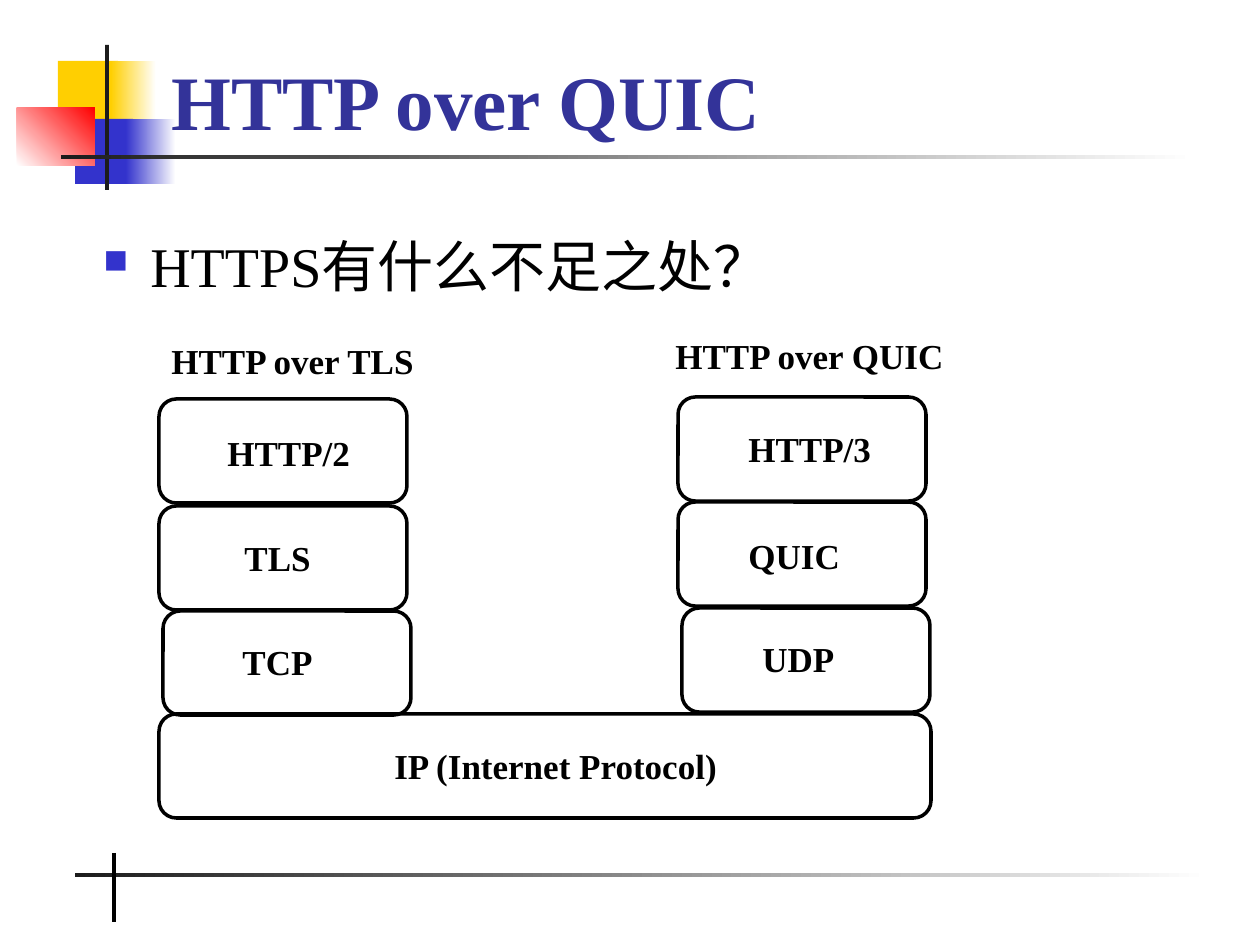
"""Build the HTTP over QUIC slide comparing two protocol stacks."""
from lxml import etree
from pptx import Presentation
from pptx import util as u
from pptx.dml.color import RGBColor
from pptx.enum import shapes, text
from pptx.oxml import ns

PX = 914400 / 126
FONT = "Times New Roman"
BLACK, BLUE, DARK, WHITE = "000000", "3333CC", "1C1C1C", "FFFFFF"


def rgb(value):
    return RGBColor.from_string(value)


def add_text(s, box, words, size, color=BLACK, bold=True, wrap=False):
    sp = s.shapes.add_textbox(*[u.Emu(round(v * PX)) for v in box])
    tf = sp.text_frame
    tf.word_wrap = wrap
    tf.auto_size = text.MSO_AUTO_SIZE.NONE if wrap else text.MSO_AUTO_SIZE.SHAPE_TO_FIT_TEXT
    r = tf.paragraphs[0].add_run()
    r.text = words
    r.font.name, r.font.size, r.font.bold = FONT, u.Pt(size), bold
    r.font.color.rgb = rgb(color)
    return tf


prs = Presentation()
prs.slide_width, prs.slide_height = u.Inches(10), u.Inches(7.5)
s = prs.slides.add_slide(prs.slide_layouts[6])

decorations = [
    ((58, 61, 60, 65), ["FFCF01"], 0),
    ((111, 61, 45, 65), ["FFCF01", WHITE], 0),
    ((75, 119, 58, 65), [BLUE], 0),
    ((126, 119, 50, 65), [BLUE, WHITE], 0),
    ((17, 108, 78, 58), [WHITE, "FF0000"], 45),
    ((105, 45, 4, 145), [DARK], 0),
    ((61, 155, 1134, 4), [DARK, WHITE], 0),
    ((75, 873, 1134, 4), [DARK, WHITE], 0),
]
for box, colors, angle in decorations:
    sp = s.shapes.add_shape(shapes.MSO_SHAPE.RECTANGLE, *[u.Emu(round(v * PX)) for v in box])
    sp.shadow.inherit = False
    sp.line.fill.background()
    if len(colors) == 1:
        sp.fill.solid()
        sp.fill.fore_color.rgb = rgb(colors[0])
    else:
        sp.fill.gradient()
        sp.fill.gradient_angle = angle
        for stop, color in zip(sp.fill.gradient_stops, colors):
            stop.color.rgb = rgb(color)

tick = s.shapes.add_connector(
    shapes.MSO_CONNECTOR.STRAIGHT, *[u.Emu(round(v * PX)) for v in (114, 853, 114, 922)])
tick.line.color.rgb = rgb(BLACK)
tick.line.width = u.Pt(2.25)
etree.SubElement(tick._element.spPr, ns.qn("a:effectLst"))

tf = add_text(s, (91, 214, 1071, 567), "HTTPS有什么不足之处？", 32, bold=False, wrap=True)
p = tf.paragraphs[0]
pPr = p._p.get_or_add_pPr()
pPr.set("marL", str(round(47 * PX)))
pPr.set("indent", str(round(-47 * PX)))
color = etree.SubElement(pPr, ns.qn("a:buClr"))
etree.SubElement(color, ns.qn("a:srgbClr"), val=BLUE)
etree.SubElement(pPr, ns.qn("a:buSzPct"), val="60000")
etree.SubElement(pPr, ns.qn("a:buChar"), char="■")
p.line_spacing = u.Pt(45)

tf = add_text(s, (159, 20, 1074, 132), "HTTP over QUIC", 44, "333399", wrap=True)
tf.vertical_anchor = text.MSO_ANCHOR.BOTTOM

layers = [
    ("HTTP/2", (159, 399, 248), (215, 425, 149)),
    ("TLS", (159, 506, 248), (232, 530, 92)),
    ("TCP", (163, 611, 248), (230, 634, 96)),
    ("HTTP/3", (678, 397, 248), (736, 421, 149)),
    ("QUIC", (678, 502, 248), (736, 528, 117)),
    ("UDP", (682, 608, 248), (750, 631, 98)),
    ("IP (Internet Protocol)", (159, 714, 772), (382, 738, 350)),
]
for name, frame, label in layers:
    sp = s.shapes.add_shape(
        shapes.MSO_SHAPE.ROUNDED_RECTANGLE, *[u.Emu(round(v * PX)) for v in (*frame, 104)])
    sp.shadow.inherit = False
    sp.fill.background()
    sp.line.color.rgb = rgb(BLACK)
    sp.line.width = u.Pt(2)
    add_text(s, (*label, 55), name, 20)

add_text(s, (159, 333, 270, 55), "HTTP over TLS", 20)
add_text(s, (663, 328, 296, 55), "HTTP over QUIC", 20)

prs.save("out.pptx")
